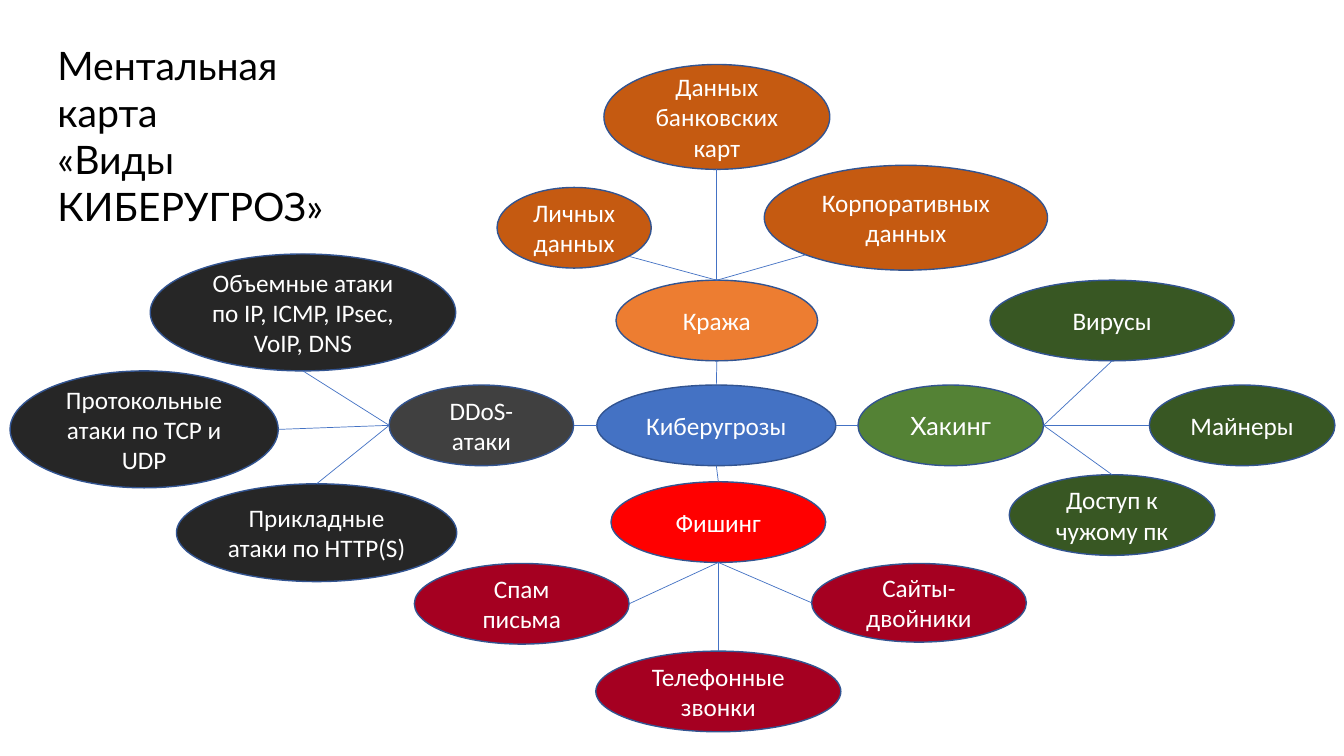
from dataclasses import dataclass
from math import cos, radians, sin

from lxml import etree
from pptx import Presentation
from pptx.dml.color import RGBColor
from pptx.enum.shapes import MSO_CONNECTOR, MSO_SHAPE
from pptx.enum.text import MSO_ANCHOR, MSO_AUTO_SIZE, PP_ALIGN
from pptx.oxml.ns import qn
from pptx.util import Inches, Pt

OVAL = MSO_SHAPE.OVAL
STRAIGHT = MSO_CONNECTOR.STRAIGHT
LEFT, CENTER = PP_ALIGN.LEFT, PP_ALIGN.CENTER
TOP, MIDDLE = MSO_ANCHOR.TOP, MSO_ANCHOR.MIDDLE
FIXED = MSO_AUTO_SIZE.NONE

# Slide grid: ten cells to the inch
WIDTH, HEIGHT = Inches(13.33), Inches(7.5)
COLS, ROWS = 133.3, 75

# Joints of an oval, counted anticlockwise from the top in eighths
NORTH, WEST, SOUTH_WEST, SOUTH, SOUTH_EAST, EAST = 0, 2, 3, 4, 5, 6


@dataclass(frozen=True)
class Theme:
    hub: str = "4472C4"
    edge: str = "325491"
    link: str = "4472C4"
    light: str = "FFFFFF"
    dark: str = "000000"
    theft: tuple = ("ED7D31", "C55A11")
    hack: tuple = ("548235", "385723")
    phish: tuple = ("FF0000", "A50021")
    ddos: tuple = ("404040", "262626")
    font: str = "Calibri"
    accent: str = "Lato"
    title: int = 28
    body: int = 18


THEME = Theme()

# Each branch: text, box, font, colours, joint on the hub, joint towards
# the hub, joint towards the leaves, leaves (text, box, joint)
BRANCHES = [
    ("Кража", (61.1, 27.8, 20, 8), THEME.font, THEME.theft,
     NORTH, SOUTH, NORTH, [
         ("Корпоративных\nданных", (75.8, 16.4, 28.1, 10.4), SOUTH_WEST),
         ("Личных данных", (49.3, 18.6, 15.3, 8), SOUTH_EAST),
         ("Данных\nбанковских\nкарт", (59.9, 6.4, 22.4, 10.4), SOUTH)]),
    ("Хакинг", (85.1, 38.2, 18.4, 8), THEME.accent, THEME.hack,
     EAST, WEST, EAST, [
         ("Майнеры", (114, 38.2, 18.4, 8), WEST),
         ("Вирусы", (98.2, 27.8, 24.2, 8), SOUTH),
         ("Доступ к чужому пк", (100.1, 47.1, 20.4, 8), NORTH)]),
    ("Фишинг", (60.6, 47.8, 21.3, 8), THEME.font, THEME.phish,
     SOUTH, NORTH, SOUTH, [
         ("Спам письма", (41.1, 55.9, 21.3, 8), EAST),
         ("Сайты-двойники", (80.5, 55.9, 21.3, 7.8), WEST),
         ("Телефонные звонки", (59.1, 64.6, 24.3, 8), NORTH)]),
    ("DDoS-атаки", (38.6, 38.2, 18.3, 8), THEME.font, THEME.ddos,
     WEST, EAST, WEST, [
         ("Протокольные атаки по TCP и UDP", (1, 36.8, 26.6, 11.6), EAST),
         ("Прикладные атаки по HTTP(S)", (17.5, 48, 27.8, 9.7), NORTH),
         ("Объемные атаки по IP, ICMP, IPsec, VoIP, DNS",
          (14.9, 25.2, 30.3, 11.6), SOUTH)]),
]


def place(box):
    """Turn left, top, width and height in cells into lengths."""
    x, y, wide, high = box
    return (round(x * WIDTH / COLS), round(y * HEIGHT / ROWS),
            round(wide * WIDTH / COLS), round(high * HEIGHT / ROWS))


def write(shape, text, *, size=THEME.body, font=THEME.font,
          color=THEME.light, align=CENTER, anchor=MIDDLE):
    frame = shape.text_frame
    frame.text = text
    frame.word_wrap = True
    frame.auto_size = FIXED
    frame.vertical_anchor = anchor
    for para in frame.paragraphs:
        para.alignment = align
        para.line_spacing = 1.0
        para.space_before = Pt(0)
        for run in para.runs:
            run.font.size = Pt(size)
            run.font.name = font
            run.font.color.rgb = RGBColor.from_string(color)


def add_oval(slide, text, box, fill, font=THEME.font):
    oval = slide.shapes.add_shape(OVAL, *place(box))
    oval.shadow.inherit = False
    oval.fill.solid()
    oval.fill.fore_color.rgb = RGBColor.from_string(fill)
    oval.line.color.rgb = RGBColor.from_string(THEME.edge)
    oval.line.width = Pt(1)
    write(oval, text, font=font)
    return oval


def spot(oval, joint):
    """Find a joint on the rim of an oval."""
    turn = radians(45 * joint)
    x = oval.left + oval.width / 2 * (1 - sin(turn))
    y = oval.top + oval.height / 2 * (1 - cos(turn))
    return round(x), round(y)


def add_link(slide, start, out, end, into):
    line = slide.shapes.add_connector(STRAIGHT, 0, 0, 0, 0)
    line.begin_connect(start, 0)
    line.end_connect(end, 0)
    # An oval has eight joints, so set them and the ends directly
    for tag, joint in (("a:stCxn", out), ("a:endCxn", into)):
        next(line._element.iter(qn(tag))).set("idx", str(joint))
    line.begin_x, line.begin_y = spot(start, out)
    line.end_x, line.end_y = spot(end, into)
    line.line.color.rgb = RGBColor.from_string(THEME.link)
    line.line.width = Pt(0.5)
    etree.SubElement(line._element.spPr, qn("a:effectLst"))


def add_title(slide, text, box):
    title = slide.shapes.title
    title.left, title.top, title.width, title.height = place(box)
    write(title, text, size=THEME.title, font=THEME.accent,
          color=THEME.dark, align=LEFT, anchor=TOP)


def add_branch(slide, hub, branch):
    text, box, font, fills, out, back, fan, leaves = branch
    node = add_oval(slide, text, box, fills[0], font)
    add_link(slide, hub, out, node, back)
    for words, area, joint in leaves:
        leaf = add_oval(slide, words, area, fills[1])
        add_link(slide, node, fan, leaf, joint)


def main():
    deck = Presentation()
    deck.slide_width, deck.slide_height = WIDTH, HEIGHT
    slide = deck.slides.add_slide(deck.slide_layouts[5])

    # Heading
    add_title(slide, "Ментальная карта\n«Виды КИБЕРУГРОЗ»",
              (4.7, 3.6, 32, 20))

    # Mind map
    hub = add_oval(slide, "Киберугрозы", (59.2, 38.2, 23.7, 8), THEME.hub)
    for branch in BRANCHES:
        add_branch(slide, hub, branch)

    deck.save("out.pptx")


if __name__ == "__main__":
    main()
